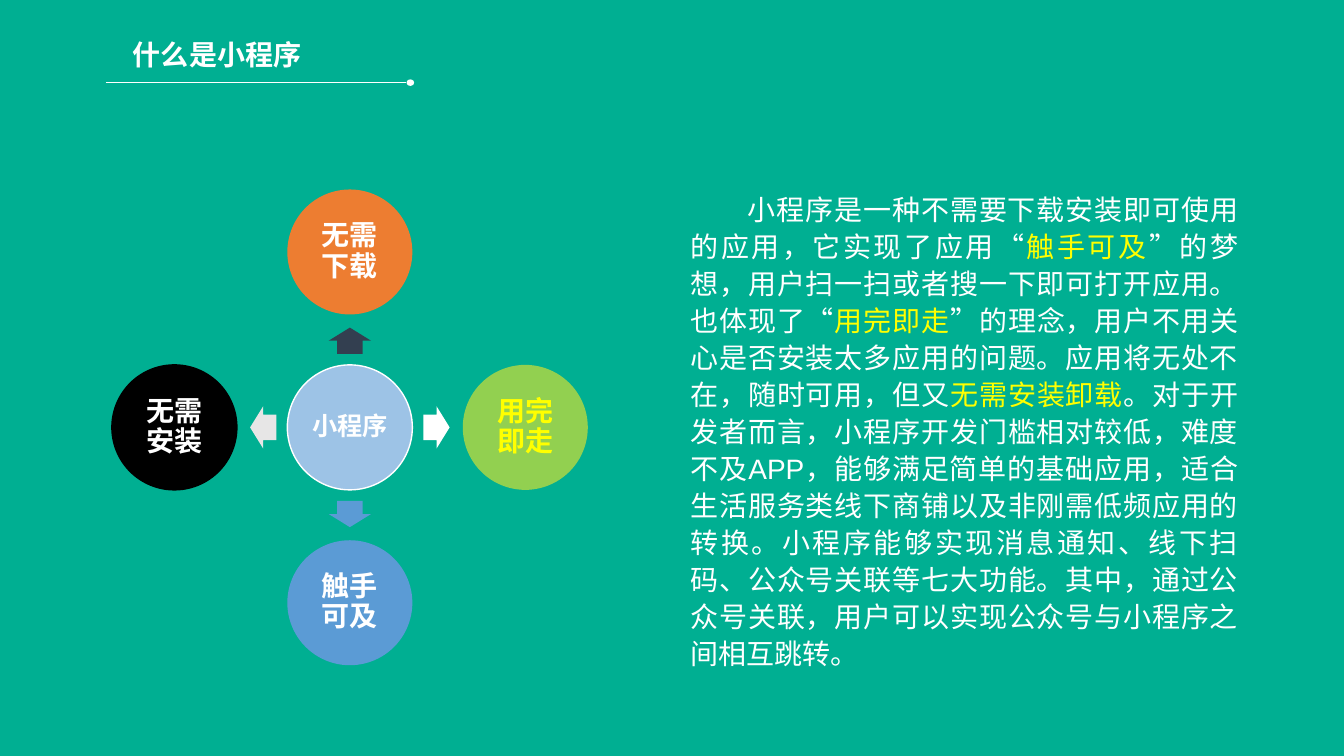
from lxml.etree import SubElement
from pptx import Presentation
from pptx.dml.color import RGBColor
from pptx.enum.shapes import MSO_CONNECTOR, MSO_SHAPE
from pptx.enum.text import MSO_ANCHOR, PP_ALIGN
from pptx.oxml.ns import qn
from pptx.util import Inches, Pt

BACKGROUND = "00AF92"
WHITE = "FFFFFF"
YELLOW = "FFFF00"
LATIN_FONT = "Arial"
CHINESE_FONT = "Noto Sans CJK SC"

HUB_X, HUB_Y = 3.47, 4.24
CIRCLE_STEP, ARROW_STEP = 1.74, 0.86

# direction x, direction y, arrow rotation, label, circle, text, outline, arrow
FEATURES = [
    (0, -1, 270, "无需下载", "ED7D31", WHITE, None, "333F50"),
    (1, 0, 0, "用完即走", "92D050", YELLOW, None, WHITE),
    (0, 1, 90, "触手可及", "5B9BD5", WHITE, None, "5B9BD5"),
    (-1, 0, 180, "无需安装", "000000", WHITE, "000000", "E7E6E6"),
]

DESCRIPTION = [
    ("小程序是一种不需要下载安装即可使用的应用，它实现了应用“", WHITE),
    ("触手可及", YELLOW),
    ("”的梦想，用户扫一扫或者搜一下即可打开应用。也体现了“", WHITE),
    ("用完即走", YELLOW),
    ("”的理念，用户不用关心是否安装太多应用的问题。应用将无处不在，随时可用，但又", WHITE),
    ("无需安装卸载", YELLOW),
    ("。对于开发者而言，小程序开发门槛相对较低，难度不及APP，能够满足简单的基础应用，"
     "适合生活服务类线下商铺以及非刚需低频应用的转换。小程序能够实现消息通知、线下扫码、"
     "公众号关联等七大功能。其中，通过公众号关联，用户可以实现公众号与小程序之间相互跳转。", WHITE),
]


def color(hex_string):
    return RGBColor.from_string(hex_string)


class SlideBuilder:
    def __init__(self, slide):
        self.slide = slide
        slide.background.fill.solid()
        slide.background.fill.fore_color.rgb = color(BACKGROUND)

    def add_runs(self, paragraph, runs, size=20, bold=False, font=LATIN_FONT):
        for text, text_color in runs:
            run = paragraph.add_run()
            run.text = text
            run.font.size = Pt(size)
            run.font.bold = bold
            run.font.name = font
            run.font.color.rgb = color(text_color)
            east_asian = SubElement(run._r.get_or_add_rPr(), qn("a:ea"))
            east_asian.set("typeface", CHINESE_FONT)

    def text_box(self, left, top, width, height):
        box = self.slide.shapes.add_textbox(
            Inches(left), Inches(top), Inches(width), Inches(height))
        box.text_frame.word_wrap = True
        return box.text_frame

    def title(self, text):
        frame = self.text_box(1.22, 0.28, 3.89, 0.57)
        frame.vertical_anchor = MSO_ANCHOR.MIDDLE
        paragraph = frame.paragraphs[0]
        paragraph.line_spacing = 0.9
        self.add_runs(paragraph, [(text, WHITE)], bold=True)

    def description(self, runs):
        """Justified paragraph with a first-line indent and no hanging punctuation."""
        frame = self.text_box(6.75, 1.31, 5.63, 5.64)
        frame.margin_top = Inches(0.57)
        paragraph = frame.paragraphs[0]
        paragraph.alignment = PP_ALIGN.JUSTIFY
        paragraph.line_spacing = 1.1
        properties = paragraph._p.get_or_add_pPr()
        properties.set("indent", str(Inches(0.57)))
        properties.set("hangingPunct", "0")
        self.add_runs(paragraph, runs)

    def shape(self, kind, center_x, center_y, width, height, fill, outline=None):
        shape = self.slide.shapes.add_shape(
            kind, Inches(center_x - width / 2), Inches(center_y - height / 2),
            Inches(width), Inches(height))
        shape.shadow.inherit = False
        shape.fill.solid()
        shape.fill.fore_color.rgb = color(fill)
        if outline:
            shape.line.color.rgb = color(outline)
            shape.line.width = Pt(1)
        else:
            shape.line.fill.background()
        return shape

    def circle(self, center_x, center_y, label, fill, text_color, outline, size=20):
        circle = self.shape(MSO_SHAPE.OVAL, center_x, center_y, 1.24, 1.24, fill, outline)
        frame = circle.text_frame
        frame.word_wrap = True
        frame.vertical_anchor = MSO_ANCHOR.MIDDLE
        frame.margin_left = frame.margin_right = Inches(0.04)
        frame.margin_top = frame.margin_bottom = Inches(0.04)
        paragraph = frame.paragraphs[0]
        paragraph.alignment = PP_ALIGN.CENTER
        paragraph.line_spacing = 0.9
        self.add_runs(paragraph, [(label, text_color)], size, True, CHINESE_FONT)

    def arrow(self, center_x, center_y, rotation, fill):
        arrow = self.shape(MSO_SHAPE.RIGHT_ARROW, center_x, center_y, 0.26, 0.42, fill)
        arrow.adjustments[0] = 0.6
        arrow.adjustments[1] = 0.5
        arrow.rotation = rotation

    def line(self, start_x, end_x, y):
        line = self.slide.shapes.add_connector(
            MSO_CONNECTOR.STRAIGHT, Inches(start_x), Inches(y), Inches(end_x), Inches(y))
        line.line.color.rgb = color(WHITE)
        line.line.width = Pt(0.5)
        SubElement(line._element.spPr, qn("a:effectLst"))


def main():
    presentation = Presentation()
    presentation.slide_width = Inches(13.33)
    presentation.slide_height = Inches(7.5)
    builder = SlideBuilder(presentation.slides.add_slide(presentation.slide_layouts[6]))

    builder.description(DESCRIPTION)
    builder.title("什么是小程序")
    builder.line(1.05, 4.03, 0.82)
    builder.shape(MSO_SHAPE.OVAL, 4.07, 0.82, 0.06, 0.05, WHITE, WHITE)

    builder.circle(HUB_X, HUB_Y, "小程序", "9DC3E6", WHITE, WHITE, size=18)
    for step_x, step_y, rotation, label, fill, text_color, outline, arrow_fill in FEATURES:
        builder.arrow(HUB_X + step_x * ARROW_STEP, HUB_Y + step_y * ARROW_STEP,
                      rotation, arrow_fill)
        builder.circle(HUB_X + step_x * CIRCLE_STEP, HUB_Y + step_y * CIRCLE_STEP,
                       label, fill, text_color, outline)

    presentation.save("out.pptx")


if __name__ == "__main__":
    main()
